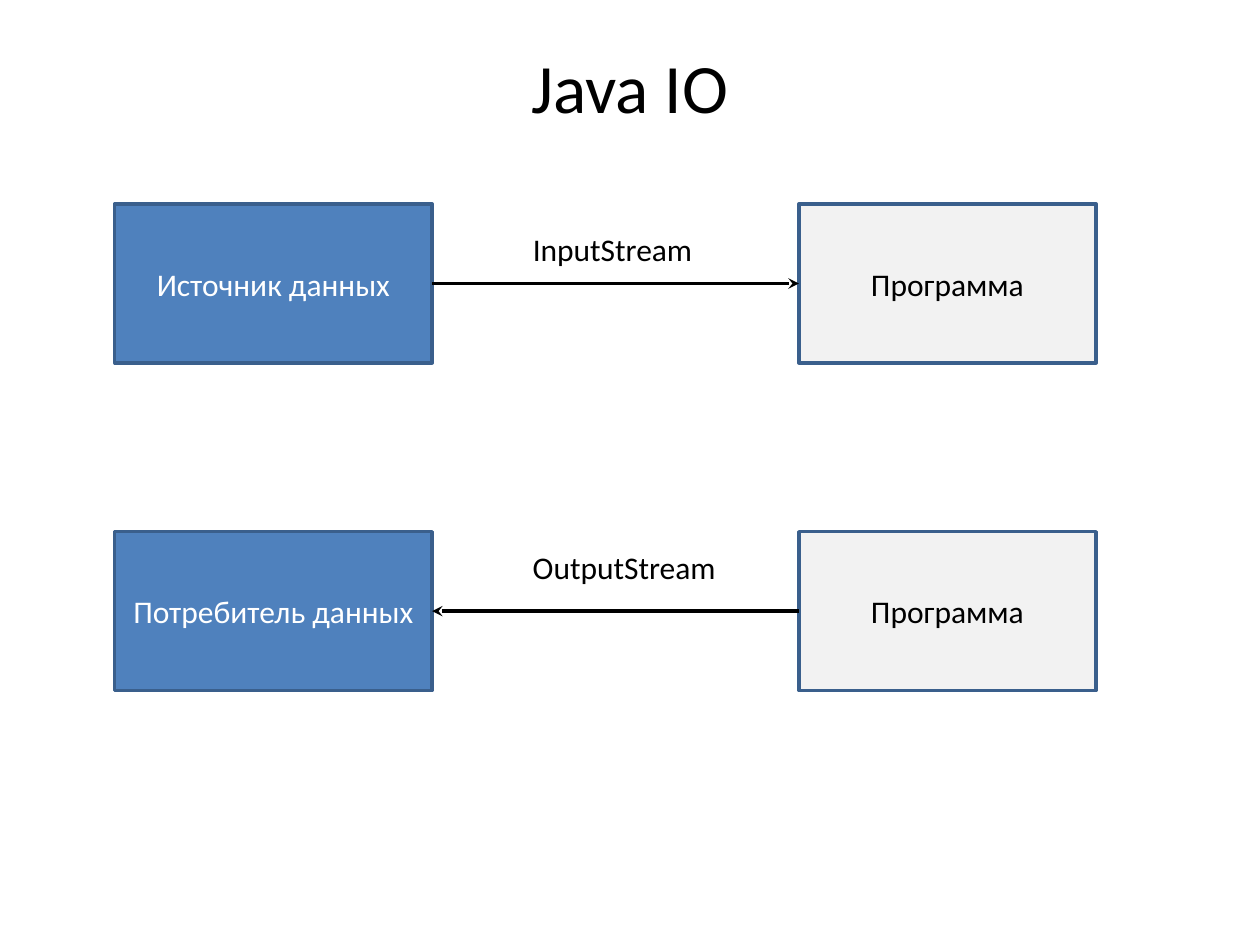
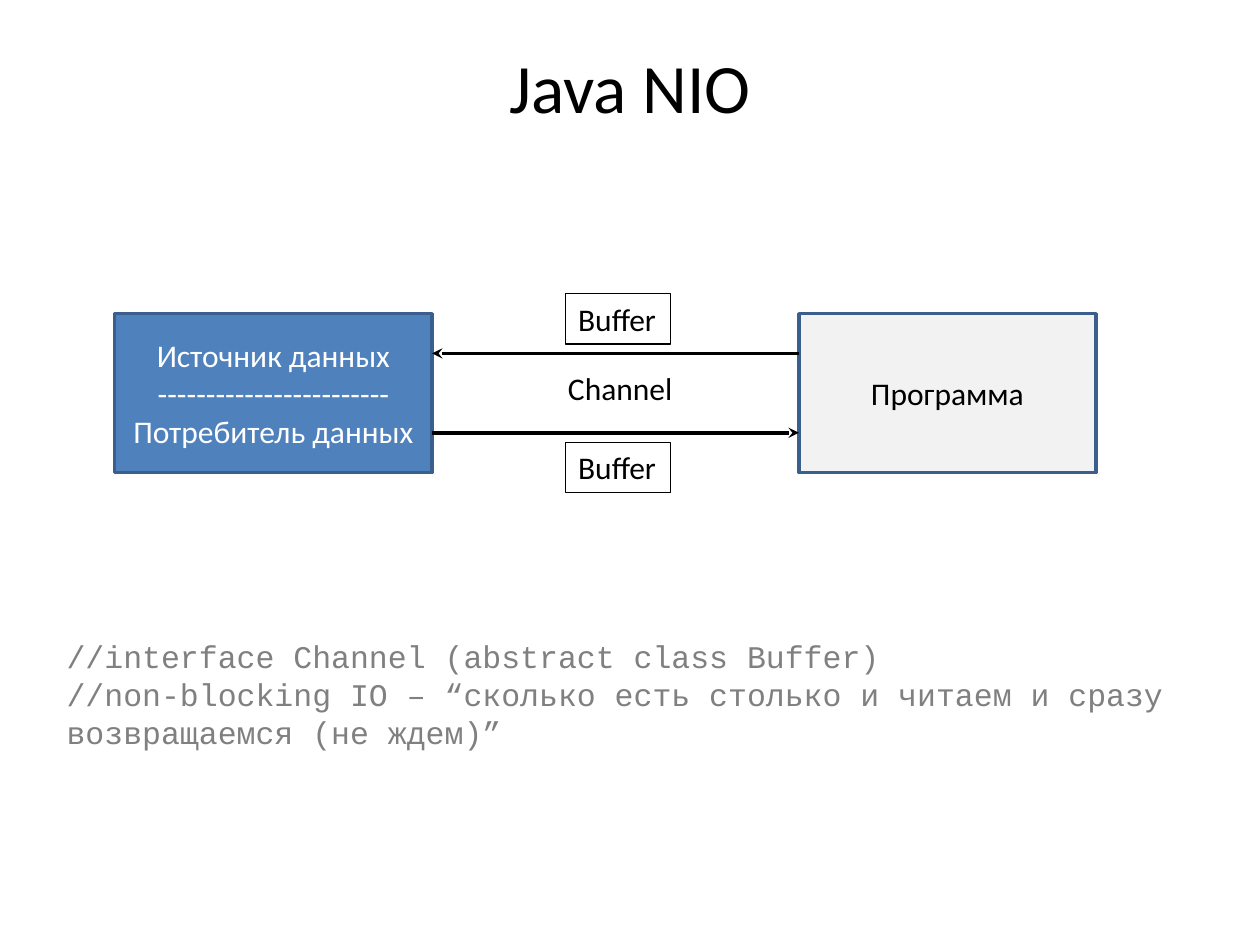
from dataclasses import dataclass

from lxml import etree
from pptx import Presentation
from pptx import util as u
from pptx.dml import color
from pptx.enum import shapes, text
from pptx.oxml import ns


def rgb(code):
    return color.RGBColor.from_string(code)


@dataclass(frozen=True)
class Theme:
    black = rgb("000000")
    white = rgb("FFFFFF")
    blue = rgb("4F81BD")
    edge = rgb("3A5F8C")
    pale = rgb("F2F2F2")
    gray = rgb("808080")
    font = "Calibri"
    mono = "Courier New"
    head = 39.6
    body = 18
    thick = 2
    thin = 0.75


SIDE, SIDE_W = 0.91, 2.52
PROG, PROG_W = 6.34, 2.36
BOX_H = 1.26
LEFT = SIDE + SIDE_W


class Deck:
    def __init__(self, theme):
        self.theme = theme
        self.prs = Presentation()
        self.prs.slide_width = u.Inches(10)
        self.prs.slide_height = u.Inches(7.5)
        self.slide = None

    def page(self, title):
        self.slide = self.prs.slides.add_slide(self.prs.slide_layouts[6])
        box = self.label(title, 0.5, 0.3, 9, 0.77, size=self.theme.head,
                         align=text.PP_ALIGN.CENTER, wrap=True, grow=False)
        box.text_frame.vertical_anchor = text.MSO_ANCHOR.MIDDLE

    def style(self, frame, words, tint, size, font, align):
        frame.text = words
        for para in frame.paragraphs:
            para.alignment = align
            for run in para.runs:
                run.font.name = font
                run.font.size = u.Pt(size)
                run.font.color.rgb = tint

    def label(self, words, x, y, w, h=0.4, tint=None, size=None, font=None,
              align=text.PP_ALIGN.LEFT, wrap=False, grow=True, frame=False):
        look = self.theme
        box = self.slide.shapes.add_textbox(*map(u.Inches, (x, y, w, h)))
        body = box.text_frame
        body.word_wrap = wrap
        fit = text.MSO_AUTO_SIZE
        body.auto_size = fit.SHAPE_TO_FIT_TEXT if grow else fit.NONE
        self.style(body, words, tint or look.black, size or look.body,
                   font or look.font, align)
        if frame:
            box.line.color.rgb = look.black
            box.line.width = u.Pt(look.thin)
        return box

    def block(self, words, x, y, w, fill, tint):
        look = self.theme
        box = self.slide.shapes.add_shape(
            shapes.MSO_SHAPE.RECTANGLE, *map(u.Inches, (x, y, w, BOX_H)))
        box.shadow.inherit = False
        box.fill.solid()
        box.fill.fore_color.rgb = fill
        box.line.color.rgb = look.edge
        box.line.width = u.Pt(look.thick)
        box.text_frame.vertical_anchor = text.MSO_ANCHOR.MIDDLE
        self.style(box.text_frame, words, tint, look.body, look.font,
                   text.PP_ALIGN.CENTER)

    def pair(self, words, y):
        look = self.theme
        self.block(words, SIDE, y, SIDE_W, look.blue, look.white)
        self.block("Программа", PROG, y, PROG_W, look.pale, look.black)

    def arrow(self, start, end, y):
        line = self.slide.shapes.add_connector(
            shapes.MSO_CONNECTOR.STRAIGHT, *map(u.Inches, (start, y, end, y)))
        line.line.color.rgb = self.theme.black
        line.line.width = u.Pt(self.theme.thick)
        props = line._element.spPr
        tip = etree.SubElement(props.find(ns.qn("a:ln")), ns.qn("a:tailEnd"))
        tip.set("type", "stealth")
        etree.SubElement(props, ns.qn("a:effectLst"))


def stream_page(deck):
    deck.page("Java IO")
    rows = (
        ("Источник данных", 1.62, LEFT, PROG, "InputStream", 1.78, 1.48),
        ("Потребитель данных", 4.22, PROG, LEFT, "OutputStream", 4.3, 1.67),
    )
    for side, top, start, end, name, y, w in rows:
        deck.pair(side, top)
        deck.arrow(start, end, top + BOX_H / 2)
        deck.label(name, 4.13, y, w)


def channel_page(deck):
    top = 2.49
    deck.page("Java NIO")
    deck.pair("\n".join(("Источник данных", "-" * 24, "Потребитель данных")),
              top)
    deck.arrow(PROG, LEFT, top + BOX_H / 4)
    deck.arrow(LEFT, PROG, top + BOX_H * 3 / 4)
    for y in (2.33, 3.51):
        deck.label("Buffer", 4.49, y, 0.83, frame=True)
    deck.label("Channel", 4.41, 2.88, 1.04)
    deck.label("//interface Channel (abstract class Buffer)\n"
               "//non-blocking IO – “сколько есть столько и читаем и сразу "
               "возвращаемся (не ждем)”",
               0.43, 5.01, 8.98, 1.31, tint=deck.theme.gray,
               font=deck.theme.mono, wrap=True)


def main():
    deck = Deck(Theme())
    stream_page(deck)
    channel_page(deck)
    deck.prs.save("out.pptx")


if __name__ == "__main__":
    main()
